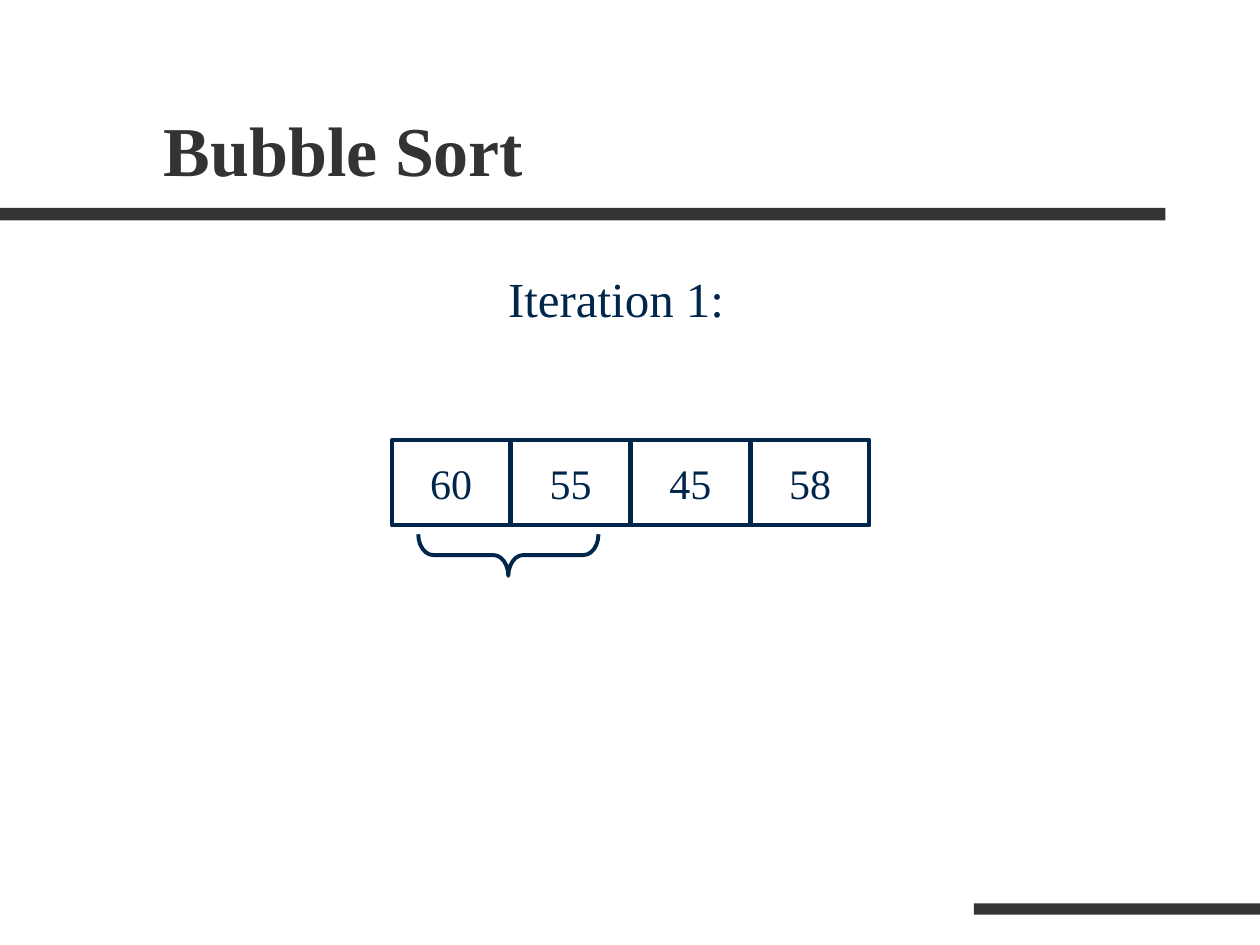
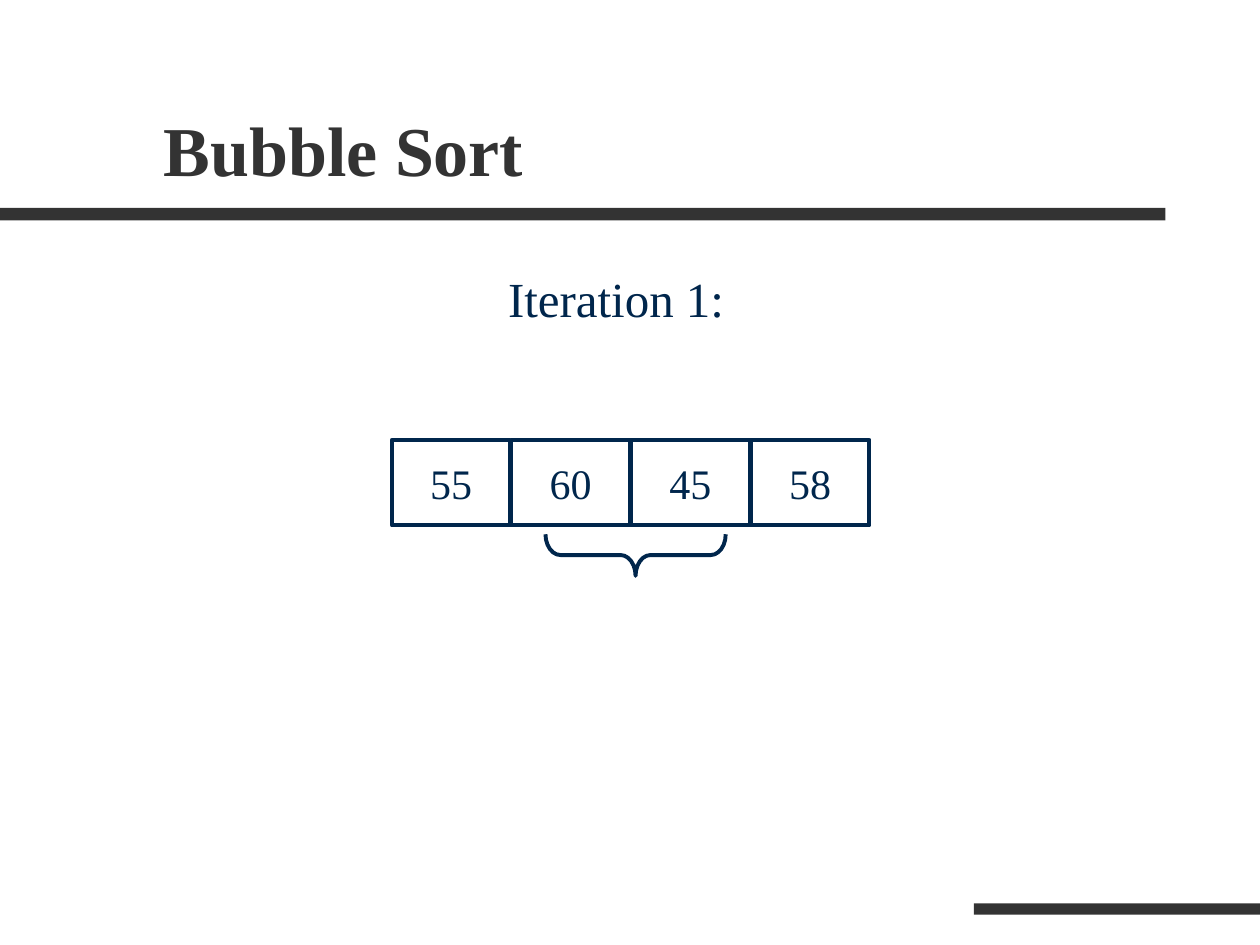
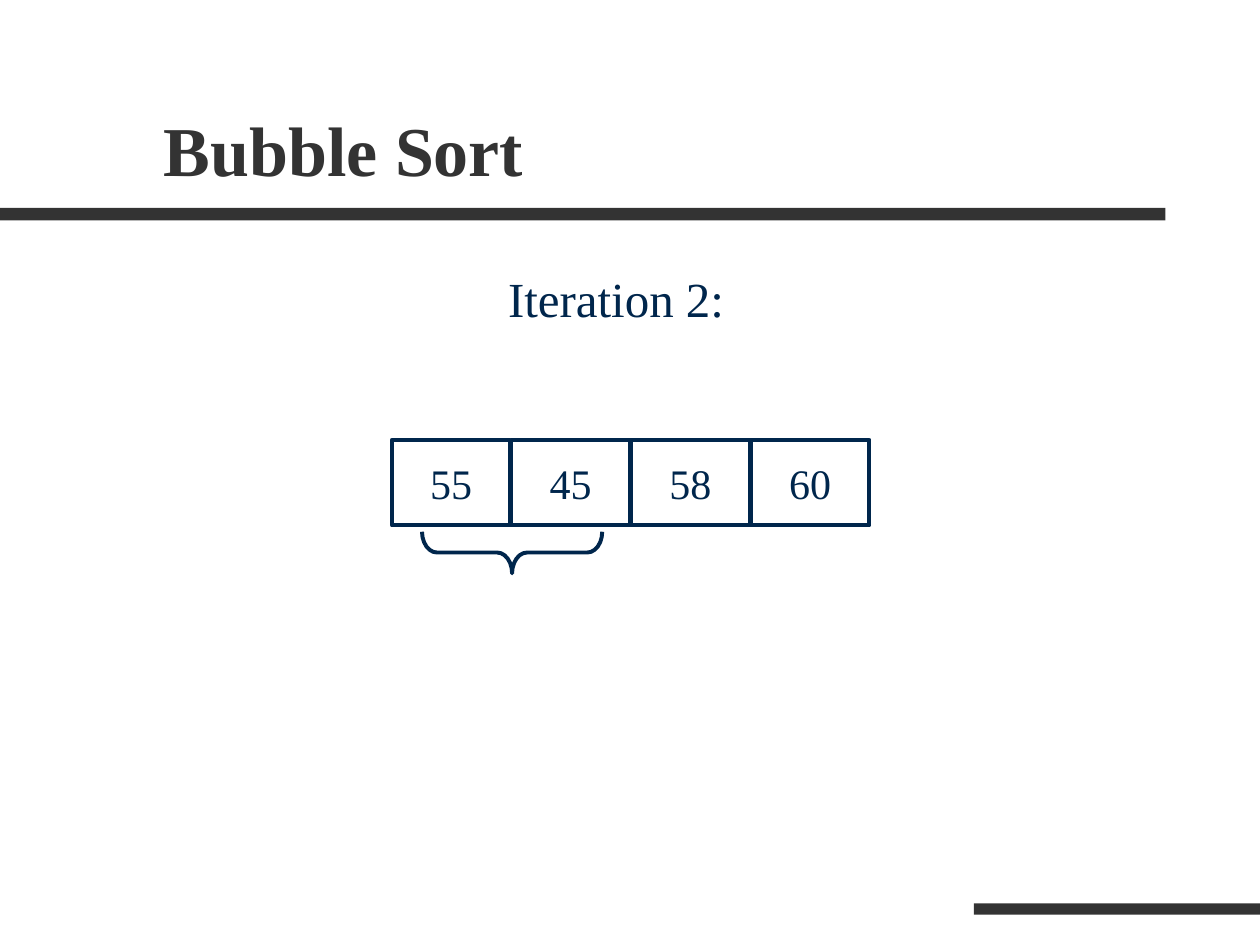
import dataclasses

import pptx
import pptx.dml.color
import pptx.enum.shapes
import pptx.enum.text
import pptx.oxml.ns
import pptx.util

Inches = pptx.util.Inches
SHAPE = pptx.enum.shapes.MSO_SHAPE
ANCHOR = pptx.enum.text.MSO_ANCHOR
ALIGN = pptx.enum.text.PP_ALIGN


@dataclasses.dataclass(frozen=True)
class Theme:
    font: str = "Times New Roman"
    dark: str = "333333"
    navy: str = "00264C"
    title: int = 40
    body: int = 28
    cell: int = 24
    line: float = 2.25


THEME = Theme()

# Array cells: left edge, top, width, height and step
LEFT, TOP, WIDE, HIGH, STEP = 3.11, 3.49, 0.94, 0.68, 0.95

# Heading, values, and the left and top of the brace under the compared pair
STEPS = [
    ("Iteration 1:", (60, 55, 45, 58), 3.32, 4.24),
    ("Iteration 1:", (55, 60, 45, 58), 4.33, 4.24),
    ("Iteration 2:", (55, 45, 58, 60), 3.35, 4.22),
]


def color(code):
    return pptx.dml.color.RGBColor.from_string(code)


def place(shape, left, top, width, height):
    shape.left, shape.top = Inches(left), Inches(top)
    shape.width, shape.height = Inches(width), Inches(height)


def write(shape, text, size, tint=THEME.navy, bold=False,
          align=ALIGN.CENTER, anchor=ANCHOR.MIDDLE, before=0, wrap=True):
    frame = shape.text_frame
    frame.auto_size = pptx.enum.text.MSO_AUTO_SIZE.NONE
    frame.word_wrap = wrap
    frame.vertical_anchor = anchor
    para = frame.paragraphs[0]
    para.alignment = align
    para.space_before = pptx.util.Pt(before)
    run = para.add_run()
    run.text = text
    font = run.font
    font.name, font.size, font.bold = THEME.font, pptx.util.Pt(size), bold
    font.color.rgb = color(tint)
    return para


def draw(slide, kind, left, top, width, height, fill=None, line=None):
    shape = slide.shapes.add_shape(
        kind, Inches(left), Inches(top), Inches(width), Inches(height))
    shape.shadow.inherit = False
    if fill:
        shape.fill.solid()
        shape.fill.fore_color.rgb = color(fill)
    else:
        shape.fill.background()
    if line:
        shape.line.color.rgb = color(line)
        shape.line.width = pptx.util.Pt(THEME.line)
    else:
        shape.line.fill.background()
    return shape


def set_layout(deck, layout):
    """Place the title and body, and give the layout its two bars."""
    title, body = list(layout.placeholders)[:2]
    place(title, 1.2, 0.31, 8.5, 1.25)
    place(body, 0.64, 2.08, 8.5, 4.58)
    # Bars are drawn on the first slide, then moved to the layout
    first = deck.slides.add_slide(layout)
    for box in ((0, 1.65, 9.25, 0.1), (7.73, 7.17, 2.27, 0.09)):
        bar = draw(first, SHAPE.RECTANGLE, *box, fill=THEME.dark)
        layout.shapes.element.append(bar.element)
    return first


def add_head(slide, text):
    title, body = slide.placeholders
    write(title, "Bubble Sort", THEME.title, tint=THEME.dark, bold=True,
          align=ALIGN.LEFT, anchor=ANCHOR.BOTTOM)
    para = write(body, text, THEME.body, anchor=ANCHOR.TOP, before=7)
    # No bullet
    props = para._p.get_or_add_pPr()
    props.append(props.makeelement(pptx.oxml.ns.qn("a:buNone"), {}))


def add_cells(slide, values):
    for i, value in enumerate(values):
        cell = draw(slide, SHAPE.RECTANGLE, LEFT + i * STEP, TOP, WIDE, HIGH,
                    line=THEME.navy)
        write(cell, str(value), THEME.cell, wrap=False)


def add_brace(slide, left, top, span=1.43, depth=0.33):
    # An upright brace turned about its centre to point down
    shift = (span - depth) / 2
    brace = draw(slide, SHAPE.LEFT_BRACE, left + shift, top - shift,
                 depth, span, line=THEME.navy)
    brace.rotation = 270
    brace.adjustments[0] = 0.36


def main():
    deck = pptx.Presentation()
    deck.slide_width, deck.slide_height = Inches(10), Inches(7.5)
    layout = deck.slide_layouts[1]
    first = set_layout(deck, layout)
    for i, (head, values, left, top) in enumerate(STEPS):
        slide = deck.slides.add_slide(layout) if i else first
        add_head(slide, head)
        add_brace(slide, left, top)
        add_cells(slide, values)
    deck.save("out.pptx")


if __name__ == "__main__":
    main()
